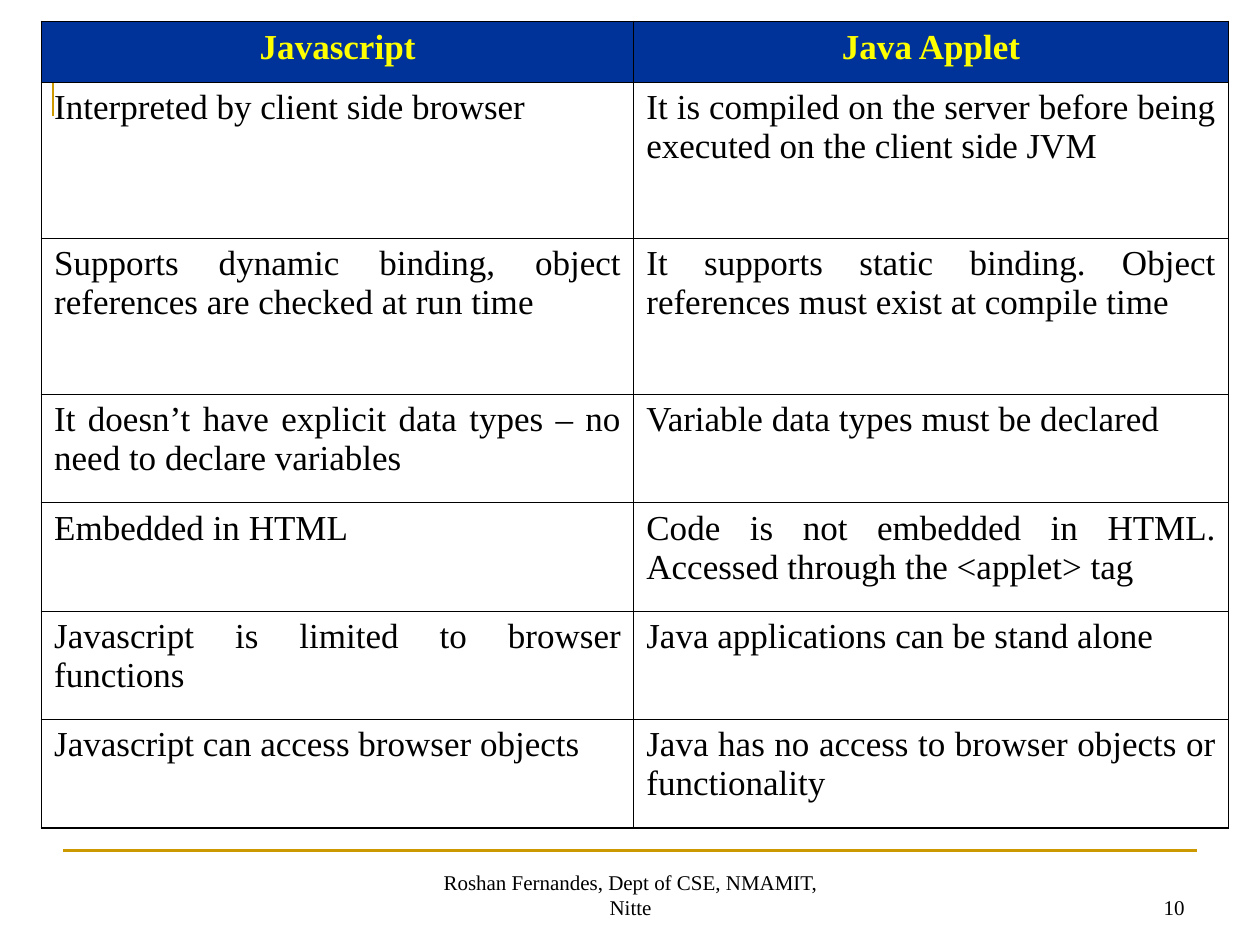
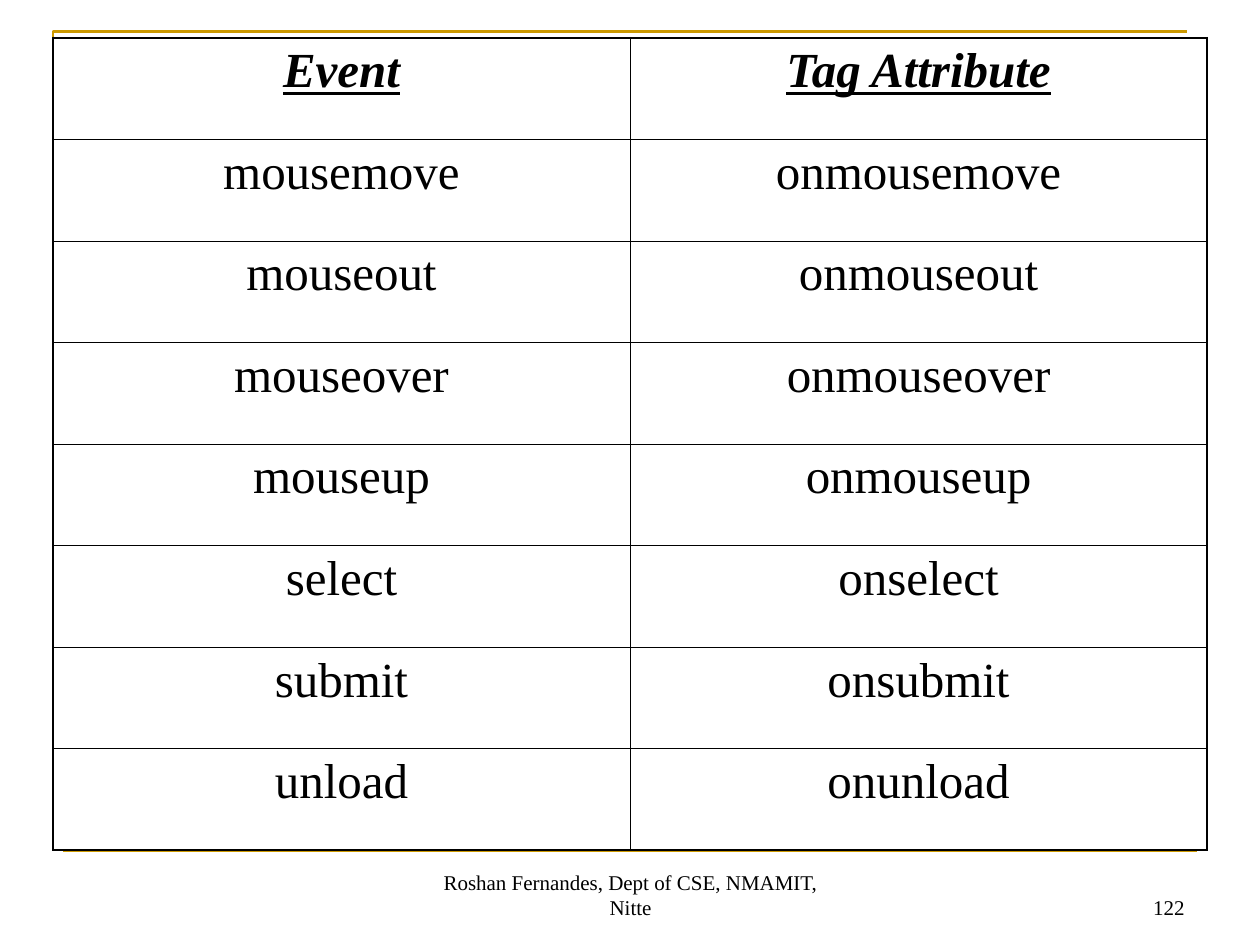
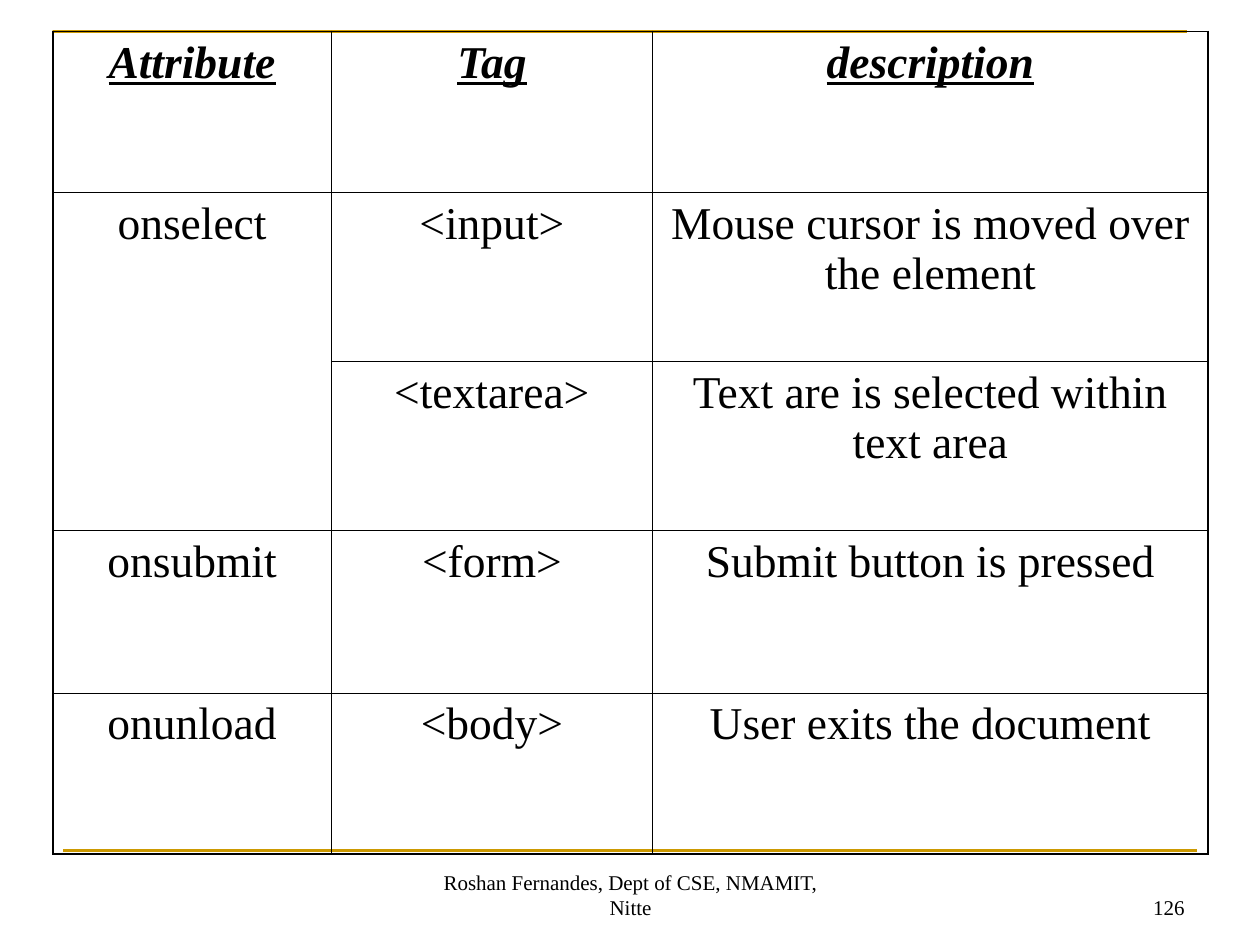
"""Build three slides of script tables that share a gold frame and a footer."""
import pptx
import pptx.util
import pptx.dml.color
import pptx.enum.shapes
import pptx.enum.text
import pptx.oxml.ns
import lxml.etree

Inches = pptx.util.Inches
Pt = pptx.util.Pt
ALIGN = pptx.enum.text.PP_ALIGN
COLORS = {"text": "000000", "gold": "CC9900", "head": "003399", "head_text": "FFFF00"}
FONT = "Times New Roman"
FOOTER = "Roshan Fernandes, Dept of CSE, NMAMIT, Nitte"
OUTER, INNER = 1.08, 0.45


class Deck:
    def __init__(self):
        self.prs = pptx.Presentation()
        self.prs.slide_width, self.prs.slide_height = Inches(10), Inches(7.5)
        self.s = None

    def color(self, name):
        return pptx.dml.color.RGBColor.from_string(COLORS[name])

    def slide(self):
        self.s = self.prs.slides.add_slide(self.prs.slide_layouts[6])
        self.corner()
        self.rule()

    def stroke(self, sp):
        sp.line.color.rgb = self.color("gold")
        sp.line.width = Pt(1.5)

    def corner(self):
        fb = self.s.shapes.build_freeform(Inches(0.42), Inches(0.92))
        fb.add_line_segments([(Inches(0.42), Inches(0.25)), (Inches(9.42), Inches(0.25))], close=False)
        sp = fb.convert_to_shape()
        sp.shadow.inherit = False
        sp.fill.background()
        self.stroke(sp)

    def rule(self):
        sp = self.s.shapes.add_connector(
            pptx.enum.shapes.MSO_CONNECTOR.STRAIGHT,
            Inches(0.5), Inches(6.75), Inches(9.5), Inches(6.75))
        self.stroke(sp)
        lxml.etree.SubElement(sp._element.spPr, pptx.oxml.ns.qn("a:effectLst"))

    def run(self, tf, text, size, align, color="text", bold=False, fancy=False):
        p = tf.paragraphs[0]
        p.alignment = align
        r = p.add_run()
        r.text = text
        r.font.name, r.font.size = FONT, Pt(size)
        r.font.color.rgb = self.color(color)
        r.font.bold, r.font.italic, r.font.underline = bold, fancy, fancy
        return p

    def text(self, text, left, width, align):
        tf = self.s.shapes.add_textbox(Inches(left), Inches(6.83), Inches(width), Inches(0.52)).text_frame
        tf.word_wrap = True
        tf.vertical_anchor = pptx.enum.text.MSO_ANCHOR.BOTTOM
        self.run(tf, text, 12, align)

    def footer(self, number):
        self.text(str(number), 7.17, 2.33, ALIGN.RIGHT)
        self.text(FOOTER, 3.42, 3.17, ALIGN.CENTER)

    def border(self, cell, side, width):
        qn = pptx.oxml.ns.qn
        ln = lxml.etree.SubElement(cell._tc.get_or_add_tcPr(), qn("a:ln" + side), w=str(Pt(width)))
        fill = lxml.etree.SubElement(ln, qn("a:solidFill"))
        lxml.etree.SubElement(fill, qn("a:srgbClr"), val=COLORS["text"])

    def table(self, left, top, widths, heights, rows, size, align=ALIGN.CENTER, banner=False):
        nrows, ncols = len(heights), len(widths)
        table = self.s.shapes.add_table(
            nrows, ncols, Inches(left), Inches(top), Inches(sum(widths)), Inches(sum(heights))).table
        table.first_row = table.horz_banding = False
        for col, width in zip(table.columns, widths):
            col.width = Inches(width)
        for row, height in zip(table.rows, heights):
            row.height = Inches(height)
        for i, texts in enumerate(rows):
            for j, text in enumerate(texts):
                cell = table.cell(i, j)
                edges = {"L": j == 0, "R": j == ncols - 1, "T": i == 0, "B": i == nrows - 1}
                for side, outer in edges.items():
                    self.border(cell, side, OUTER if outer else INNER)
                head = i == 0
                if head and banner:
                    cell.fill.solid()
                    cell.fill.fore_color.rgb = self.color("head")
                else:
                    cell.fill.background()
                if text is None:
                    table.cell(i - 1, j).merge(cell)
                    continue
                p = self.run(
                    cell.text_frame, text, size, ALIGN.CENTER if head else align,
                    "head_text" if head and banner else "text", head, head and not banner)
                p.space_before = Pt(size / 4)


def main():
    deck = Deck()

    deck.slide()
    comparison = [
        ("Javascript", "Java Applet"),
        ("Interpreted by client side browser",
         "It is compiled on the server before being executed on the client side JVM"),
        ("Supports dynamic binding, object references are checked at run time",
         "It supports static binding. Object references must exist at compile time"),
        ("It doesn’t have explicit data types – no need to declare variables",
         "Variable data types must be declared"),
        ("Embedded in HTML",
         "Code is not embedded in HTML. Accessed through the <applet> tag"),
        ("Javascript is limited to browser functions",
         "Java applications can be stand alone"),
        ("Javascript can access browser objects",
         "Java has no access to browser objects or functionality"),
    ]
    deck.table(0.33, 0.17, [4.7, 4.72], [0.48] + [1.24] * 2 + [0.86] * 4,
               comparison, 20, ALIGN.JUSTIFY, banner=True)
    deck.footer(10)

    deck.slide()
    deck.footer(122)
    events = ["mousemove", "mouseout", "mouseover", "mouseup", "select", "submit", "unload"]
    deck.table(0.42, 0.3, [4.58] * 2, [6.45 / 8] * 8,
               [("Event", "Tag Attribute")] + [(event, "on" + event) for event in events], 28)

    deck.slide()
    deck.footer(126)
    attributes = [
        ("Attribute", "Tag", "description"),
        ("onselect", "<input>", "Mouse cursor is moved over the element"),
        (None, "<textarea>", "Text are is selected within text area"),
        ("onsubmit", "<form>", "Submit button is pressed"),
        ("onunload", "<body>", "User exits the document"),
    ]
    deck.table(0.42, 0.25, [2.21, 2.55, 4.41], [1.28, 1.34, 1.34, 1.29, 1.28], attributes, 26)

    deck.prs.save("out.pptx")


if __name__ == "__main__":
    main()
